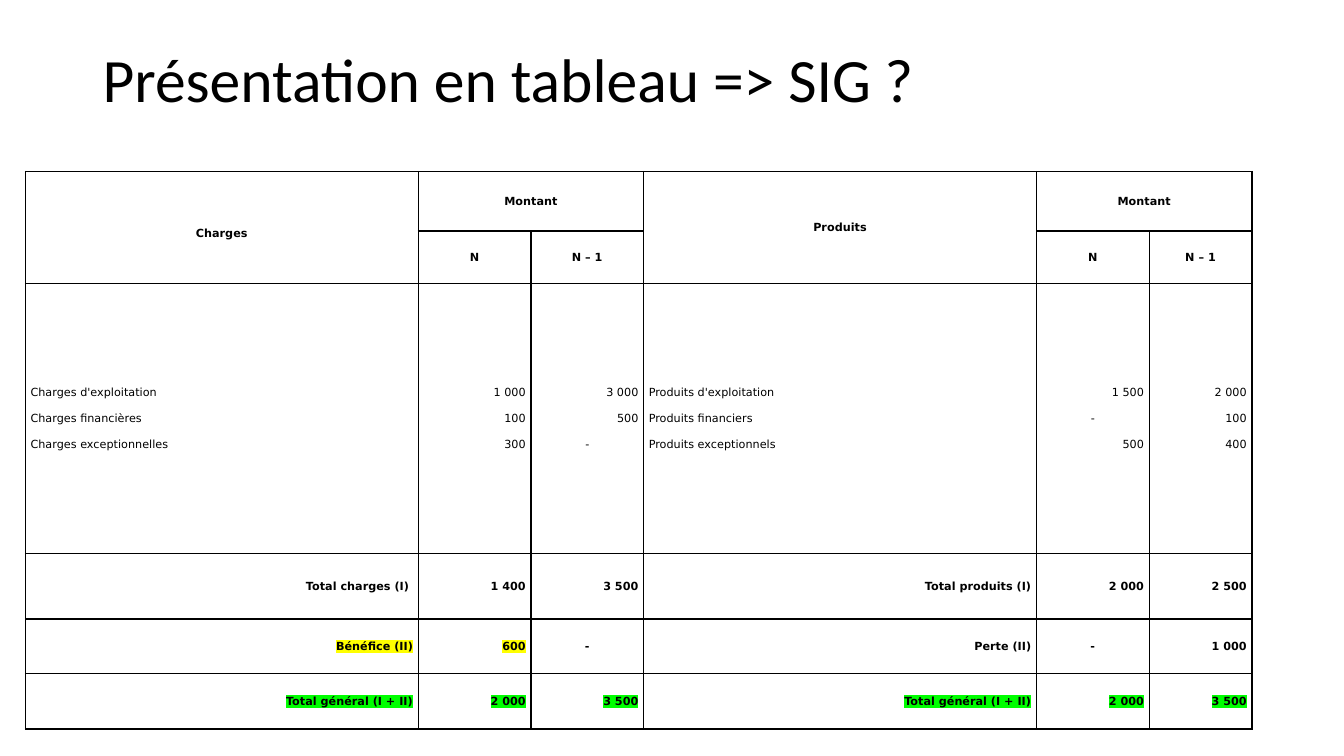
"""Builds the slide that sets expenses against income in a two-sided table."""
from dataclasses import dataclass
from typing import Optional

from lxml.etree import SubElement
from pptx import Presentation
from pptx.dml.color import RGBColor
from pptx.enum.text import MSO_ANCHOR, MSO_AUTO_SIZE, PP_ALIGN
from pptx.oxml import parse_xml
from pptx.oxml.ns import nsdecls, qn
from pptx.table import Table, _Cell
from pptx.text.text import _Paragraph
from pptx.util import Cm, Pt

BLACK = RGBColor(0x00, 0x00, 0x00)
YELLOW = RGBColor(0xFF, 0xFF, 0x00)
GREEN = RGBColor(0x00, 0xFF, 0x00)

COLUMN_WIDTHS = (9.9, 2.84, 2.84, 9.9, 2.84, 2.59)
ROW_HEIGHTS = (1.5, 1.32, 6.81, 1.65, 1.37, 1.4)
SIDE_COLUMNS = 3
DETAIL_ROW = 2


@dataclass(frozen=True)
class Entry:
    """One label with its amounts for both years."""
    label: str
    current: str
    previous: str
    highlights: tuple[Optional[RGBColor], ...] = (None, None, None)

    @property
    def texts(self) -> tuple[str, str, str]:
        """Return the texts in column order."""
        return self.label, self.current, self.previous


@dataclass(frozen=True)
class Side:
    """One half of the table."""
    heading: str
    details: tuple[Entry, ...]
    totals: tuple[Entry, ...]
    heading_top: float = 0


GRAND_TOTAL = Entry("Total général (I + II)", "2 000", "3 500", (GREEN,) * 3)

SIDES = (
    Side(
        "Charges",
        (
            Entry("Charges d'exploitation", "1 000", "3 000"),
            Entry("Charges financières", "100", "500"),
            Entry("Charges exceptionnelles", "300", "-"),
        ),
        (
            Entry("Total charges (I) ", "1 400", "3 500"),
            Entry("Bénéfice (II)", "600", "-", (YELLOW, YELLOW, None)),
            GRAND_TOTAL,
        ),
        heading_top=0.33,
    ),
    Side(
        "Produits",
        (
            Entry("Produits d'exploitation", "1 500", "2 000"),
            Entry("Produits financiers", "-", "100"),
            Entry("Produits exceptionnels", "500", "400"),
        ),
        (
            Entry("Total produits (I)", "2 000", "2 500"),
            Entry("Perte (II)", "-", "1 000"),
            GRAND_TOTAL,
        ),
    ),
)


def format_cell(cell: _Cell) -> None:
    """Give a cell its margins, empty fill and thin black borders."""
    cell.margin_left = cell.margin_right = Cm(0.13)
    cell.margin_top = cell.margin_bottom = 0
    cell.vertical_anchor = MSO_ANCHOR.MIDDLE
    cell.fill.background()
    properties = cell._tc.get_or_add_tcPr()
    for position, edge in enumerate(("lnL", "lnR", "lnT", "lnB")):
        border = parse_xml(
            f'<a:{edge} {nsdecls("a")} w="{Pt(1)}"><a:solidFill>'
            f'<a:srgbClr val="{BLACK}"/></a:solidFill></a:{edge}>'
        )
        properties.insert(position, border)


def write(paragraph: _Paragraph, text: str, align: PP_ALIGN, bold: bool = True,
          highlight: Optional[RGBColor] = None) -> None:
    """Add a formatted run of table text."""
    paragraph.alignment = align
    run = paragraph.add_run()
    run.text = text
    run.font.size = Pt(8)
    run.font.bold = bold
    run.font.color.rgb = BLACK
    if highlight is not None:
        properties = run.font._element
        marker = SubElement(properties, qn("a:highlight"))
        SubElement(marker, qn("a:srgbClr")).set("val", str(highlight))
    run.font.name = "DejaVu Sans"


def amount_align(text: str) -> PP_ALIGN:
    """Centre a dash and align other text to the right."""
    return PP_ALIGN.CENTER if text == "-" else PP_ALIGN.RIGHT


def write_headings(table: Table, side: Side, first: int) -> None:
    """Fill the two heading rows of a side."""
    heading, amount = table.cell(0, first), table.cell(0, first + 1)
    heading.merge(table.cell(1, first))
    amount.merge(table.cell(0, first + 2))
    heading.margin_top = Cm(side.heading_top)
    labels = (
        (heading, side.heading),
        (amount, "Montant"),
        (table.cell(1, first + 1), "N"),
        (table.cell(1, first + 2), "N – 1"),
    )
    for cell, label in labels:
        write(cell.text_frame.paragraphs[0], label, PP_ALIGN.CENTER)


def write_details(table: Table, side: Side, first: int) -> None:
    """Fill the tall row with one paragraph per entry."""
    for offset in range(SIDE_COLUMNS):
        frame = table.cell(DETAIL_ROW, first + offset).text_frame
        for index, entry in enumerate(side.details):
            paragraph = frame.add_paragraph() if index else frame.paragraphs[0]
            if index:
                paragraph.space_before = Pt(9.3)
            text = entry.texts[offset]
            align = amount_align(text) if offset else PP_ALIGN.JUSTIFY
            write(paragraph, text, align, bold=False)


def write_totals(table: Table, side: Side, first: int) -> None:
    """Fill the total rows of a side."""
    for row, entry in enumerate(side.totals, DETAIL_ROW + 1):
        for offset, (text, highlight) in enumerate(zip(entry.texts, entry.highlights)):
            paragraph = table.cell(row, first + offset).text_frame.paragraphs[0]
            write(paragraph, text, amount_align(text), highlight=highlight)


def main() -> None:
    """Build and save the slide."""
    presentation = Presentation()
    presentation.slide_width, presentation.slide_height = Cm(33.87), Cm(19.05)
    slide = presentation.slides.add_slide(presentation.slide_layouts[5])

    title = slide.shapes.title
    title.left, title.top, title.width, title.height = Cm(2.33), Cm(1.02), Cm(29.21), Cm(2.1)
    title.text_frame.auto_size = MSO_AUTO_SIZE.NONE
    title.text_frame.vertical_anchor = MSO_ANCHOR.MIDDLE
    headline = title.text_frame.paragraphs[0]
    headline.alignment = PP_ALIGN.LEFT
    headline.line_spacing = 0.9
    run = headline.add_run()
    run.text = "Présentation en tableau => SIG ?"
    run.font.size = Pt(44)
    run.font.name = "Calibri"
    run.font.color.rgb = BLACK

    table = slide.shapes.add_table(
        len(ROW_HEIGHTS), len(COLUMN_WIDTHS), Cm(0.64), Cm(4.32),
        Cm(sum(COLUMN_WIDTHS)), Cm(sum(ROW_HEIGHTS)),
    ).table
    table.first_row = table.horz_banding = False
    for column, width in zip(table.columns, COLUMN_WIDTHS):
        column.width = Cm(width)
    for row, height in zip(table.rows, ROW_HEIGHTS):
        row.height = Cm(height)
    for cell in table.iter_cells():
        format_cell(cell)
    for number, side in enumerate(SIDES):
        first = number * SIDE_COLUMNS
        write_headings(table, side, first)
        write_details(table, side, first)
        write_totals(table, side, first)

    presentation.save("out.pptx")


if __name__ == "__main__":
    main()
